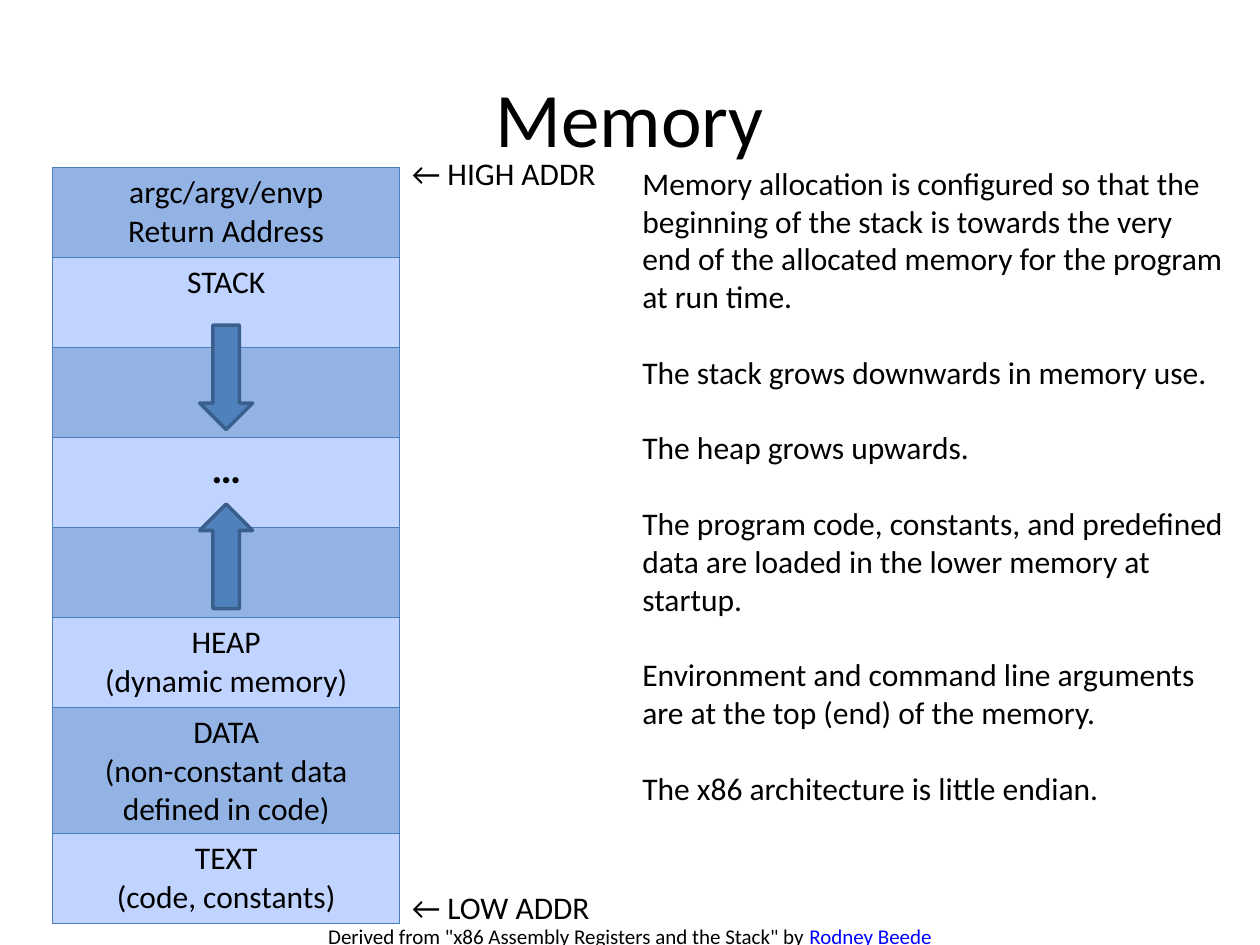
from lxml.etree import SubElement
from pptx import Presentation
from pptx.dml.color import RGBColor
from pptx.enum.shapes import MSO_SHAPE
from pptx.enum.text import MSO_ANCHOR, MSO_AUTO_SIZE, PP_ALIGN
from pptx.oxml import parse_xml
from pptx.oxml.ns import nsdecls, qn
from pptx.util import Inches, Pt

BLACK = RGBColor(0x00, 0x00, 0x00)
LINK = RGBColor(0x00, 0x00, 0xFF)
BLUE = RGBColor(0x4F, 0x81, 0xBD)
EDGE = RGBColor(0x3A, 0x5F, 0x8C)
GRID = RGBColor(0x4B, 0x7E, 0xBC)
DARK = RGBColor(0x93, 0xB3, 0xE5)
LIGHT = RGBColor(0xC0, 0xD4, 0xFF)
FONT = "Calibri"

CELLS = [
    "argc/argv/envp\nReturn Address",
    "STACK",
    "",
    "…",
    "",
    "HEAP\n(dynamic memory)",
    "DATA\n(non-constant data defined in code)",
    "TEXT\n(code, constants)",
]
NOTES = [
    "Memory allocation is configured so that the beginning of the stack is "
    "towards the very end of the allocated memory for the program at run time.",
    "The stack grows downwards in memory use.",
    "The heap grows upwards.",
    "The program code, constants, and predefined data are loaded in the lower "
    "memory at startup.",
    "Environment and command line arguments are at the top (end) of the memory.",
    "The x86 architecture is little endian.",
]


def style(frame, size, align=PP_ALIGN.LEFT, bold=False):
    """Format every run of a text frame."""
    for para in frame.paragraphs:
        para.alignment = align
        for run in para.runs:
            font = run.font
            font.name, font.size, font.bold = FONT, Pt(size), bold
            font.color.rgb = BLACK


def add_text(slide, box, text, size=18, align=PP_ALIGN.LEFT, grow=True):
    """Add a wrapped text box and return its frame."""
    frame = slide.shapes.add_textbox(*map(Inches, box)).text_frame
    frame.word_wrap = True
    if grow:
        frame.auto_size = MSO_AUTO_SIZE.SHAPE_TO_FIT_TEXT
    frame.text = text
    style(frame, size, align)
    return frame


def add_edges(cell):
    """Draw thin lines on all four sides of a cell."""
    props = cell._tc.get_or_add_tcPr()
    for i, side in enumerate("LRTB"):
        line = parse_xml(f'<a:ln{side} {nsdecls("a")} w="{Pt(0.75)}"/>')
        fill = SubElement(line, qn("a:solidFill"))
        SubElement(fill, qn("a:srgbClr")).set("val", str(GRID))
        props.insert(i, line)


def add_title(slide, box):
    """Add the slide title."""
    frame = add_text(slide, box, "Memory", 44, PP_ALIGN.CENTER, False)
    frame.vertical_anchor = MSO_ANCHOR.MIDDLE


def add_arrow(slide, box, turn):
    """Add a block arrow showing which way a region grows."""
    arrow = slide.shapes.add_shape(MSO_SHAPE.DOWN_ARROW, *map(Inches, box))
    arrow.rotation = turn
    arrow.shadow.inherit = False
    arrow.fill.solid()
    arrow.fill.fore_color.rgb = BLUE
    arrow.line.color.rgb = EDGE
    arrow.line.width = Pt(2)


def add_map(slide, box):
    """Add the memory table with its arrows and address labels."""
    left, top, width, height = box
    table = slide.shapes.add_table(len(CELLS), 1, *map(Inches, box)).table
    table.first_row = table.horz_banding = False
    unit = (height - 1) / (len(CELLS) - 1)
    for i, text in enumerate(CELLS):
        table.rows[i].height = Inches(1 if text.startswith("DATA") else unit)
        cell = table.cell(i, 0)
        cell.text_frame.text = text
        dots = text == "…"
        style(cell.text_frame, 24 if dots else 18, PP_ALIGN.CENTER, dots)
        cell.fill.solid()
        cell.fill.fore_color.rgb = LIGHT if i % 2 else DARK
        add_edges(cell)
    mid = left + width / 2
    for down, turn in ((1.25, 0), (2.67, 180)):
        add_arrow(slide, (mid - 0.21, top + down, 0.42, 0.83), turn)
    side = left + width
    for down, name in ((-0.16, "HIGH"), (5.67, "LOW")):
        add_text(slide, (side, top + down, 1.83, 0.4), f"← {name} ADDR")


def add_notes(slide, box):
    """Add the explanation, one spaced paragraph a point."""
    frame = add_text(slide, box, "\n".join(NOTES))
    for para in frame.paragraphs[:-1]:
        para.space_after = Pt(21.6)


def add_credit(slide, box):
    """Add the source line with the author in link colour."""
    text = 'Derived from "x86 Assembly Registers and the Stack" by\u00a0'
    frame = add_text(slide, box, text, 12, PP_ALIGN.CENTER)
    para = frame.paragraphs[0]
    para.add_run().text = "Rodney Beede"
    style(frame, 12, PP_ALIGN.CENTER)
    font = para.runs[-1].font
    font.color.rgb = LINK
    font.underline = True


def main():
    """Build and save the slide."""
    deck = Presentation()
    deck.slide_width, deck.slide_height = Inches(10), Inches(7.5)
    slide = deck.slides.add_slide(deck.slide_layouts[6])
    add_credit(slide, (2.46, 7.28, 5.08, 0.3))
    add_title(slide, (0.5, 0.3, 9, 1.25))
    add_map(slide, (0.42, 1.33, 2.75, 6))
    add_notes(slide, (5, 1.25, 4.83, 5.25))
    deck.save("out.pptx")


main()
